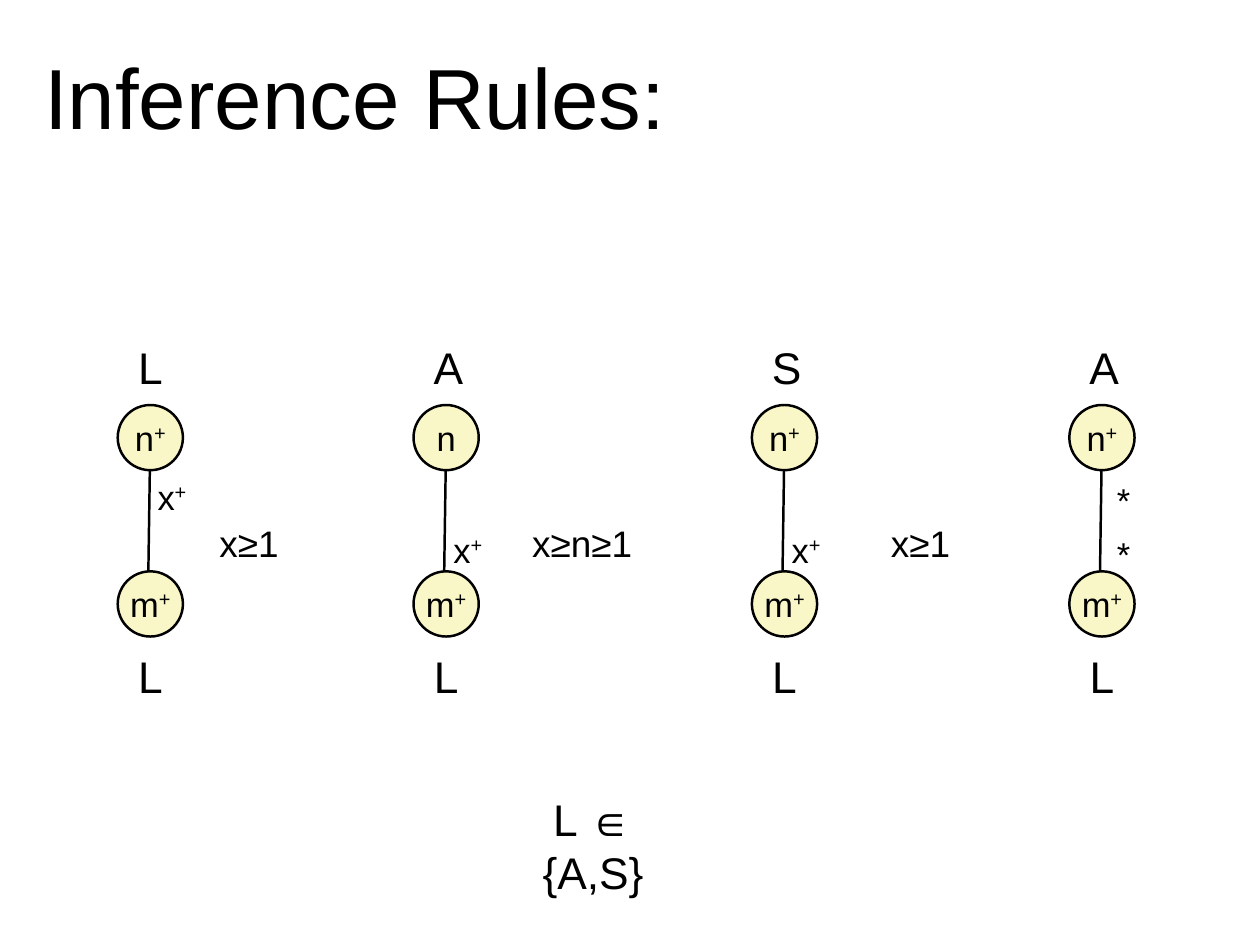
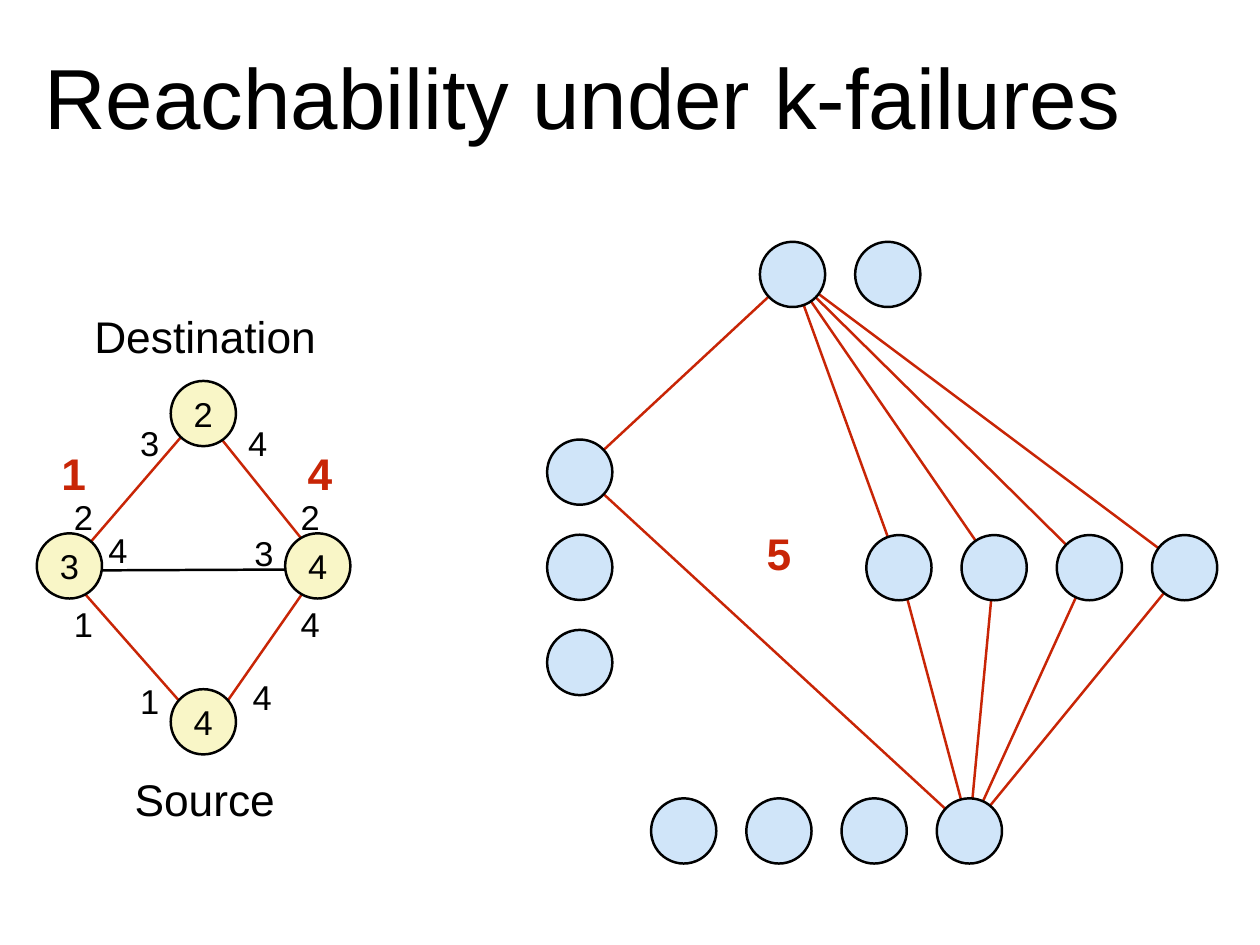
"""Build two slides: inference rules and reachability under k-failures."""
from lxml.etree import SubElement
from pptx import Presentation
from pptx.dml.color import RGBColor
from pptx.enum.shapes import MSO_CONNECTOR, MSO_SHAPE
from pptx.enum.text import MSO_ANCHOR, MSO_AUTO_SIZE, PP_ALIGN
from pptx.oxml.ns import qn
from pptx.util import Cm, Pt

BLACK = RGBColor(0x00, 0x00, 0x00)
RED = RGBColor(0xC8, 0x25, 0x06)
CREAM = RGBColor(0xF9, 0xF6, 0xC7)
SKY = RGBColor(0xD0, 0xE5, 0xF9)

FONT = "Arial"
NODE = 1.87
PITCH = 2.73
INSET = 0.15


def set_attrs(obj, values):
    """Set each named attribute of an object."""
    for name, value in values.items():
        setattr(obj, name, value)


def write(sp, text, size, color=BLACK, bold=False, align=PP_ALIGN.CENTER,
          anchor=MSO_ANCHOR.MIDDLE, wrap=False, inset=INSET):
    """Write one paragraph, raising any trailing plus sign."""
    tf = sp.text_frame
    sides = ("margin_left", "margin_top", "margin_right", "margin_bottom")
    set_attrs(tf, {"word_wrap": wrap, "vertical_anchor": anchor,
                   **{side: Cm(inset) for side in sides}})
    p = tf.paragraphs[0]
    p.alignment = align
    base = text.rstrip("+")
    for part in filter(None, (base, text[len(base):])):
        r = p.add_run()
        r.text = part
        set_attrs(r.font, {"name": FONT, "size": Pt(size), "bold": bold})
        r.font.color.rgb = color
        if part == "+":
            r.font._element.set("baseline", "32000")


def add_title(s, text):
    """Add the slide title."""
    sp = s.shapes.add_textbox(Cm(1.12), Cm(1.12), Cm(34.95), Cm(3.23))
    write(sp, text, 69.3, align=PP_ALIGN.LEFT, anchor=MSO_ANCHOR.BOTTOM,
          wrap=True)


def add_label(s, x, y, text, size=28, color=BLACK, bold=False):
    """Add a one-line label centred on a point."""
    w = 0.3 + 0.02 * size * len(text)
    h = 0.34 + 0.0406 * size
    sp = s.shapes.add_textbox(Cm(x - w / 2), Cm(y - h / 2), Cm(w), Cm(h))
    write(sp, text, size, color, bold)
    sp.text_frame.auto_size = MSO_AUTO_SIZE.SHAPE_TO_FIT_TEXT


def add_node(s, x, y, text="", fill=CREAM):
    """Add a round node centred on a point."""
    sp = s.shapes.add_shape(MSO_SHAPE.OVAL, Cm(x - NODE / 2),
                            Cm(y - NODE / 2), Cm(NODE), Cm(NODE))
    sp.shadow.inherit = False
    sp.fill.solid()
    sp.fill.fore_color.rgb = fill
    sp.line.color.rgb = BLACK
    sp.line.width = Pt(2)
    if text:
        write(sp, text, 28, inset=0)


def add_link(s, start, end, color=RED):
    """Add a straight line between two points."""
    sp = s.shapes.add_connector(MSO_CONNECTOR.STRAIGHT,
                                *(Cm(v) for v in (*start, *end)))
    sp.line.color.rgb = color
    sp.line.width = Pt(2)
    SubElement(sp._element.spPr, qn("a:effectLst"))


def add_rule(s, x, head, upper, marks, side=None):
    """Add one inference rule: two linked nodes, end marks and a condition."""
    top, bottom = 12.55, 17.32
    add_link(s, (x - 0.07, bottom), (x, top), BLACK)
    add_node(s, x, bottom, "m+")
    add_node(s, x, top, upper)
    add_label(s, x, 10.53, head, 36)
    add_label(s, x, 19.37, "L", 36)
    for y, text in marks:
        add_label(s, x + 0.62, y, text)
    if side:
        dx, text = side
        add_label(s, x + dx, 15.56, text, 30)


def build_rules(s):
    """Fill the inference rules slide."""
    add_title(s, "Inference Rules:")
    add_rule(s, 4.31, "L", "n+", [(14.25, "x+")], (2.83, "x≥1"))
    add_rule(s, 12.79, "A", "n", [(15.77, "x+")], (3.9, "x≥n≥1"))
    add_rule(s, 22.49, "S", "n+", [(15.77, "x+")], (3.9, "x≥1"))
    add_rule(s, 31.59, "A", "n+", [(14.33, "*"), (15.88, "*")])
    sp = s.shapes.add_textbox(Cm(15.35), Cm(22.7), Cm(3.3), Cm(3.1))
    write(sp, "L ∈ {A,S}", 36, wrap=True)


def build_abstract_graph(s):
    """Draw the labelled four-node graph."""
    for start, end, color in (
        ((1.98, 16.26), (5.77, 11.86), RED),
        ((5.84, 21.08), (9.22, 16.23), RED),
        ((5.94, 21.01), (1.8, 16.31), RED),
        ((9.35, 16.33), (5.72, 11.81), RED),
        ((1.98, 16.36), (9.17, 16.33), BLACK),
    ):
        add_link(s, start, end, color)
    for x, y, text in ((5.83, 11.86, "2"), (5.83, 20.7, "4"),
                       (1.99, 16.23, "3"), (9.11, 16.23, "4")):
        add_node(s, x, y, text)
    for x, y, text in (
        (4.29, 12.7, "3"), (7.39, 12.7, "4"),
        (2.39, 14.81, "2"), (8.89, 14.81, "2"),
        (3.38, 15.77, "4"), (7.57, 15.85, "3"),
        (2.39, 17.88, "1"), (8.89, 17.88, "4"),
        (4.29, 20.09, "1"), (7.52, 19.99, "4"),
    ):
        add_label(s, x, y, text)
    add_label(s, 5.88, 9.64, "Destination", 36)
    add_label(s, 5.87, 22.92, "Source", 36)


def build_concrete_graph(s):
    """Draw the node groups and the paths through them."""
    top = [(22.72 + i * PITCH, 7.87) for i in range(2)]
    left = [(16.62, 13.54 + i * PITCH) for i in range(3)]
    right = [(25.77 + i * PITCH, 16.28) for i in range(4)]
    bottom = [(19.6 + i * PITCH, 23.83) for i in range(4)]
    for middle in (left[0], *right):
        add_link(s, bottom[-1], middle)
        add_link(s, middle, top[0])
    for x, y in top + left + right + bottom:
        add_node(s, x, y, fill=SKY)


def build_reachability(s):
    """Fill the reachability slide."""
    add_title(s, "Reachability under k-failures")
    build_abstract_graph(s)
    build_concrete_graph(s)
    for x, y, text in ((2.11, 13.55, "1"), (9.17, 13.55, "4"),
                       (22.33, 15.86, "5")):
        add_label(s, x, y, text, 36, RED, True)


def main():
    """Build and save the presentation."""
    prs = Presentation()
    set_attrs(prs, {"slide_width": Cm(36.12), "slide_height": Cm(27.1)})
    for build in (build_rules, build_reachability):
        build(prs.slides.add_slide(prs.slide_layouts[6]))
    prs.save("out.pptx")


if __name__ == "__main__":
    main()
